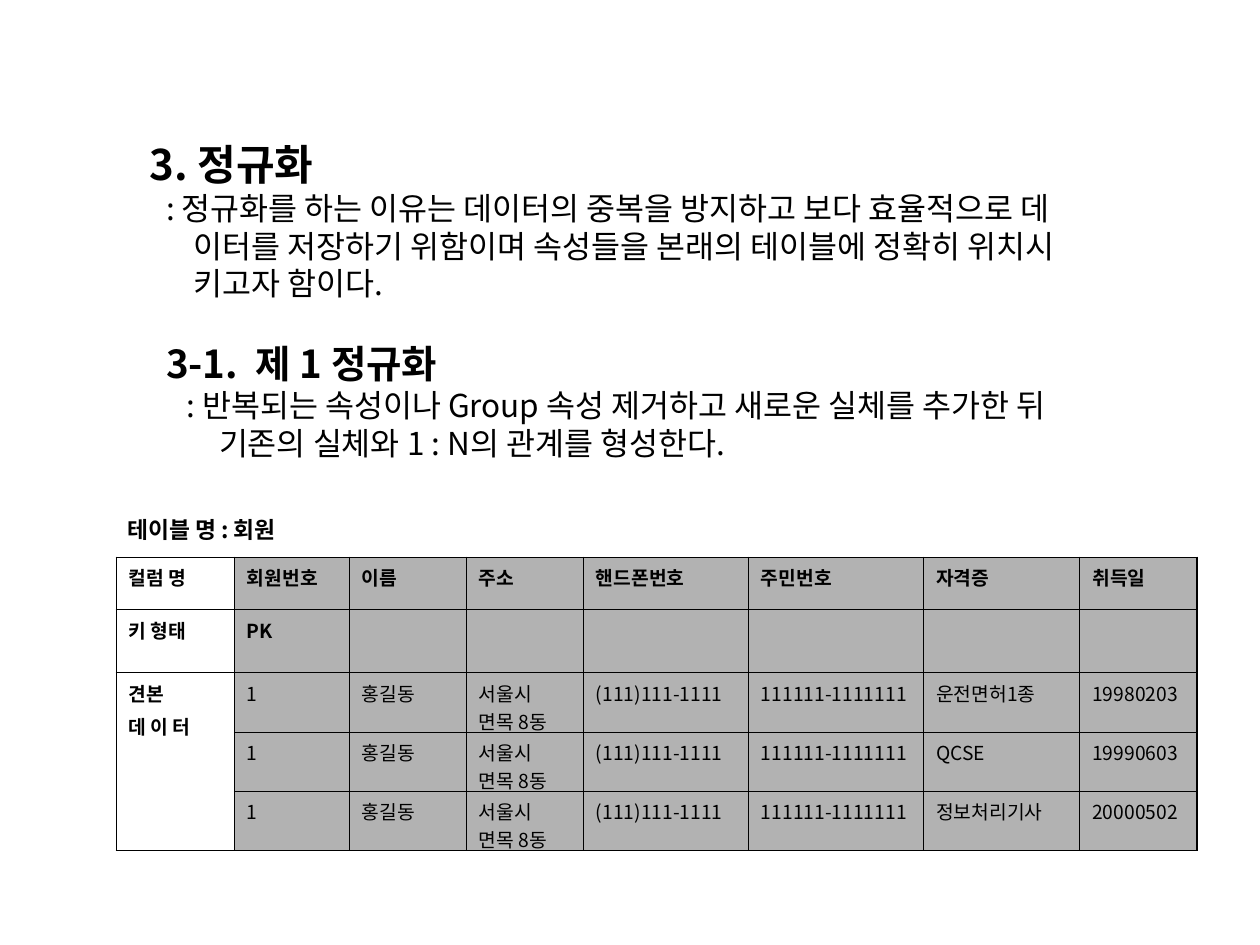
from pptx import Presentation
from pptx.dml.color import RGBColor
from pptx.enum.shapes import MSO_SHAPE
from pptx.enum.text import MSO_ANCHOR, PP_ALIGN
from pptx.oxml import parse_xml
from pptx.oxml.ns import nsdecls
from pptx.util import Inches, Pt

RECTANGLE = MSO_SHAPE.RECTANGLE
MIDDLE = MSO_ANCHOR.MIDDLE
CENTER, LEFT = PP_ALIGN.CENTER, PP_ALIGN.LEFT
FONT = "Noto Sans CJK KR"
BLACK, WHITE, GRAY = "000000", "FFFFFF", "B2B2B2"

OUTLINE = [
    {"text": "3. 정규화", "size": 24, "bold": True, "margin": 0.15, "indent": 0, "before": 0},
    {"text": ": 정규화를 하는 이유는 데이터의 중복을 방지하고 보다 효율적으로 데\v"
             "이터를 저장하기 위함이며 속성들을 본래의 테이블에 정확히 위치시\v"
             "키고자 함이다.",
     "size": 18, "bold": False, "margin": 0.5, "indent": -0.22, "before": 0},
    {"text": "3-1.  제 1 정규화", "size": 22, "bold": True, "margin": 0.28, "indent": 0,
     "before": 21.5},
    {"text": ": 반복되는 속성이나 Group 속성 제거하고 새로운 실체를 추가한 뒤\v"
             "기존의 실체와 1 : N의 관계를 형성한다.",
     "size": 18, "bold": False, "margin": 0.7, "indent": -0.26, "before": 0},
]
LABEL = "테이블 명 : 회원 "
COLUMNS = [0.94, 0.91, 0.93, 0.93, 1.31, 1.39, 1.24, 0.93]
ROWS = [0.42, 0.5, 0.47, 0.47, 0.47]
HEADERS = ["컬럼 명", "회원번호", "이름", "주소", "핸드폰번호", "주민번호", "자격증", "취득일"]
KEYS = ["키 형태", "PK"] + [""] * 6
MEMBER = ["1", "홍길동", "서울시 면목 8동", "(111)111-1111", "111111-1111111"]
LICENCES = [("운전면허1종", "19980203"), ("QCSE", "19990603"), ("정보처리기사", "20000502")]
SAMPLE_TITLE = "견본\n데 이 터"


def color(value):
    return RGBColor.from_string(value)


def style(para, size, bold):
    for span in para.runs:
        span.font.size = Pt(size)
        span.font.bold = bold
        span.font.name = FONT
        span.font.color.rgb = color(BLACK)


def add_outline(page):
    box = page.shapes.add_textbox(Inches(0.94), Inches(1.05), Inches(8.56), Inches(3.34))
    frame = box.text_frame
    frame.word_wrap = True
    for index, item in enumerate(OUTLINE):
        para = frame.add_paragraph() if index else frame.paragraphs[0]
        para.text = item["text"]
        para.space_before = Pt(item["before"])
        properties = para._p.get_or_add_pPr()
        properties.set("marL", str(Inches(item["margin"])))
        properties.set("indent", str(Inches(item["indent"])))
        style(para, item["size"], item["bold"])


def set_borders(cell, widths):
    properties = cell._tc.get_or_add_tcPr()
    for position, (side, width) in enumerate(widths.items()):
        properties.insert(position, parse_xml(
            f'<a:{side} {nsdecls("a")} w="{Pt(width)}"><a:solidFill>'
            f'<a:srgbClr val="{BLACK}"/></a:solidFill></a:{side}>'))


def add_member_table(page):
    records = [HEADERS, KEYS]
    for index, licence in enumerate(LICENCES):
        records.append([SAMPLE_TITLE if index == 0 else "", *MEMBER, *licence])
    table = page.shapes.add_table(
        len(ROWS), len(COLUMNS), Inches(0.92), Inches(4.42),
        Inches(sum(COLUMNS)), Inches(sum(ROWS))).table
    for column, width in zip(table.columns, COLUMNS):
        column.width = Inches(width)
    for row, height in zip(table.rows, ROWS):
        row.height = Inches(height)
    last_row, last_column = len(ROWS) - 1, len(COLUMNS) - 1
    for r, record in enumerate(records):
        for c, text in enumerate(record):
            cell = table.cell(r, c)
            cell.text = text
            cell.margin_bottom = 0
            cell.fill.solid()
            cell.fill.fore_color.rgb = color(WHITE if c == 0 else GRAY)
            set_borders(cell, {
                "lnL": 0.45,
                "lnR": 1.08 if c == last_column else 0.45,
                "lnT": 0.45,
                "lnB": 0.45})
            for index, para in enumerate(cell.text_frame.paragraphs):
                para.font.size = Pt(11)
                para.alignment = LEFT
                para.space_before = Pt(2.8 if index else 0)
                style(para, 11, r < 2 or c == 0)
    table.cell(2, 0).merge(table.cell(last_row, 0))


def add_label(page):
    label = page.shapes.add_shape(
        RECTANGLE, Inches(0.83), Inches(4.08), Inches(1.58), Inches(0.25))
    label.shadow.inherit = False
    label.fill.solid()
    label.fill.fore_color.rgb = color(WHITE)
    label.line.fill.background()
    frame = label.text_frame
    frame.text = LABEL
    frame.word_wrap = False
    frame.vertical_anchor = MIDDLE
    frame.paragraphs[0].alignment = CENTER
    style(frame.paragraphs[0], 13, True)


def main():
    """Build the normalization slide with its outline and member table."""
    deck = Presentation()
    deck.slide_width, deck.slide_height = Inches(10), Inches(7.5)
    page = deck.slides.add_slide(deck.slide_layouts[6])
    add_outline(page)
    add_member_table(page)
    add_label(page)
    deck.save("out.pptx")


if __name__ == "__main__":
    main()
